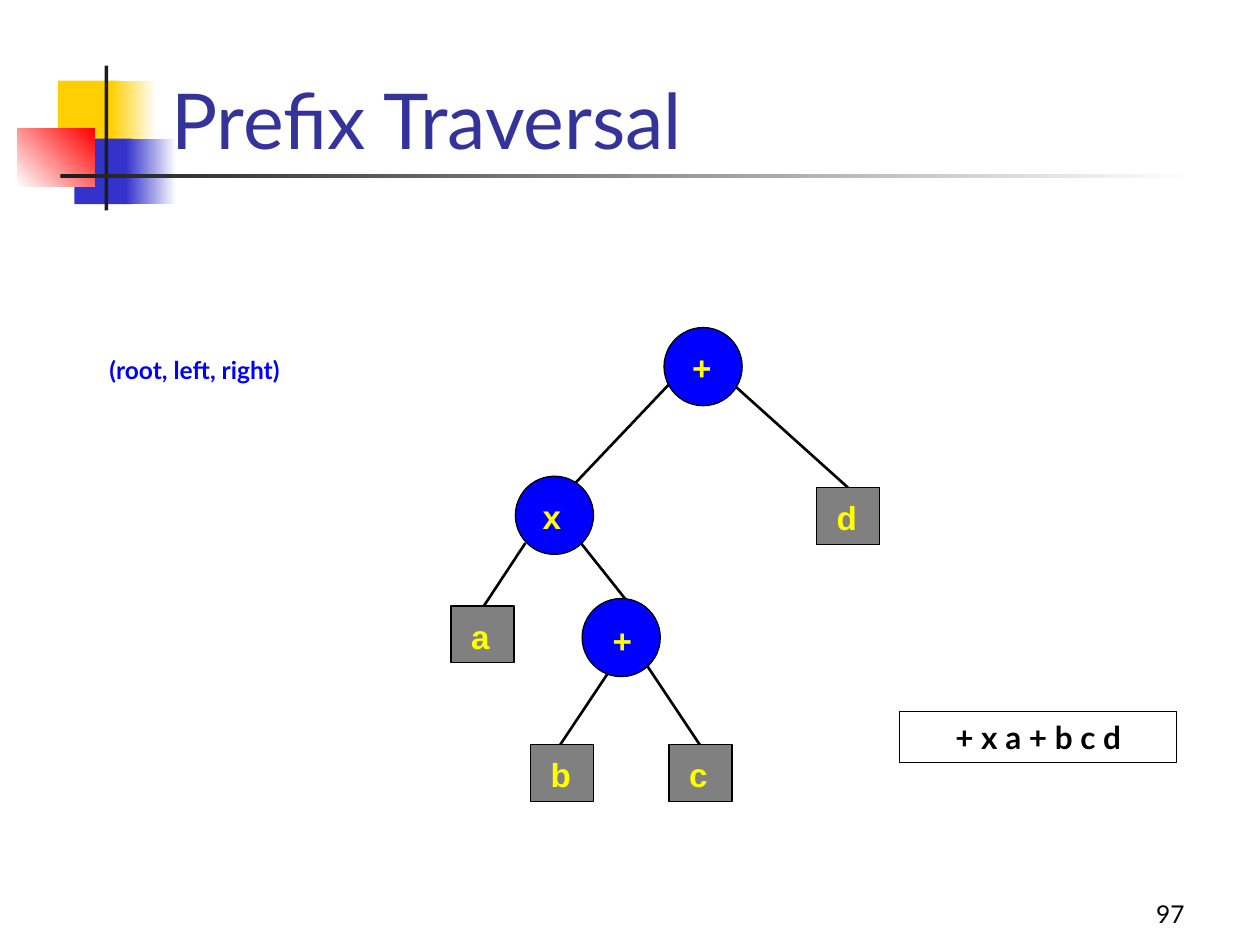
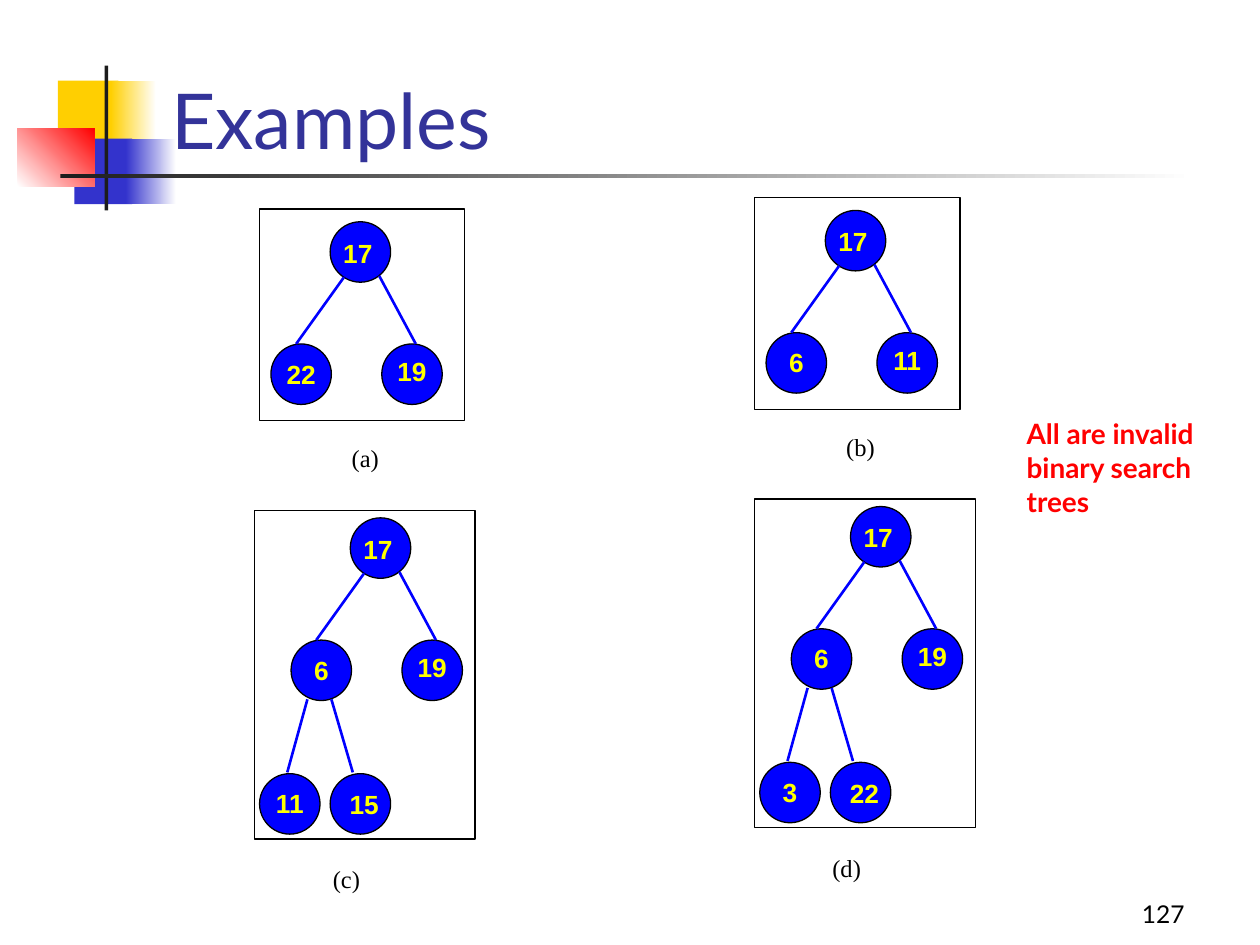
from dataclasses import dataclass
from lxml.etree import SubElement
from pptx import Presentation
from pptx.dml.color import RGBColor
from pptx.enum.shapes import MSO_CONNECTOR, MSO_SHAPE
from pptx.enum.text import MSO_ANCHOR, PP_ALIGN
from pptx.oxml.ns import qn
from pptx.util import Inches, Pt


@dataclass(frozen=True)
class Theme:
    black: str = "000000"
    white: str = "FFFFFF"
    charcoal: str = "1C1C1C"
    gold: str = "FFCF01"
    indigo: str = "3333CC"
    red: str = "FF0000"
    title: str = "333399"
    blue: str = "0000FF"
    gray: str = "808080"
    yellow: str = "FFFF00"
    body_font: str = "Lato"
    node_font: str = "Arial"
    caption_font: str = "Times New Roman"
    title_size: int = 44
    formula_size: int = 18
    remark_size: int = 16
    small_size: int = 14
    large_node: int = 19
    small_node: int = 15
    outline: float = 0.75
    edge: float = 1.5


THEME = Theme()

# Title decoration: left, top, width, height, colours, gradient angle
DECORATION = [
    ((0.46, 0.64, 0.48, 0.52), (THEME.gold,), 0),
    ((0.88, 0.64, 0.36, 0.52), (THEME.gold, THEME.white), 0),
    ((0.59, 1.10, 0.46, 0.52), (THEME.indigo,), 0),
    ((1.00, 1.10, 0.40, 0.52), (THEME.indigo, THEME.white), 0),
    ((0.14, 1.02, 0.61, 0.46), (THEME.white, THEME.red), 45),
    ((0.83, 0.52, 0.03, 1.15), (THEME.charcoal,), 0),
    ((0.48, 1.38, 9.00, 0.03), (THEME.charcoal, THEME.white), 0),
]

# Expression tree: operator circles with label corners, operand squares, edges
OPERATOR_SIZE = 0.62
OPERATORS = [
    ("+", (5.27, 2.60), (5.32, 2.68)),
    ("x", (4.09, 3.78), (4.13, 3.86)),
    ("+", (4.62, 4.75), (4.69, 4.84)),
]
OPERANDS = [("a", 3.58, 4.81), ("d", 6.48, 3.87), ("b", 4.21, 5.91), ("c", 5.31, 5.91)]
EXPRESSION_EDGES = [
    ((5.31, 3.05), (4.57, 3.83)), ((5.84, 3.07), (6.73, 3.87)),
    ((4.17, 4.31), (3.84, 4.81)), ((4.61, 4.31), (4.96, 4.75)),
    ((4.82, 5.35), (4.44, 5.92)), ((5.14, 5.29), (5.56, 5.92)),
]

# Search trees: caption, corner of the root circle, keys level by level
SEARCH_TREES = [
    ("(a)", (2.62, 1.76), ["17", "22", "19"]),
    ("(b)", (6.55, 1.67), ["17", "6", "11"]),
    ("(c)", (2.78, 4.11), ["17", "6", "19", "11", "15"]),
    ("(d)", (6.75, 4.02), ["17", "6", "19", "3", "22"]),
]

# Everything below is measured from the corner of the root circle
KEY_SIZE = 0.48
KEY_SLOTS = [  # circle corner, label corner
    ((0, 0), (0.03, 0.06)),
    ((-0.47, 0.97), (-0.42, 1.02)),
    ((0.41, 0.97), (0.46, 1.00)),
    ((-0.72, 2.03), (-0.67, 2.08)),
    ((-0.16, 2.03), (-0.08, 2.09)),
]
KEY_EDGES = [  # one for each slot after the root
    ((0.11, 0.44), (-0.27, 0.97)), ((0.39, 0.43), (0.68, 0.97)),
    ((-0.34, 1.44), (-0.50, 2.02)), ((-0.15, 1.44), (0.02, 2.02)),
]
TREE_FRAMES = {  # by number of keys: frame, caption box
    3: ((-0.56, -0.10, 1.63, 1.68), (-0.02, 1.71, 0.6, 0.34)),
    5: ((-0.76, -0.06, 1.75, 2.61), (-0.33, 2.70, 0.6, 0.34)),
}


# Drawing helpers
def color(code):
    return RGBColor.from_string(code)


def write(box, text, size, ink, font=THEME.body_font, bold=False, align=PP_ALIGN.LEFT,
          anchor=MSO_ANCHOR.TOP, inset=(0.1, 0.05), wrap=True):
    frame = box.text_frame
    frame.text = text
    frame.word_wrap = wrap
    frame.vertical_anchor = anchor
    frame.margin_left = frame.margin_right = Inches(inset[0])
    frame.margin_top = frame.margin_bottom = Inches(inset[1])
    para = frame.paragraphs[0]
    para.alignment = align
    span = para.runs[0]
    span.font.name = font
    span.font.size = Pt(size)
    span.font.bold = bold
    span.font.color.rgb = color(ink)


def add_text(page, place, text, size, ink, **style):
    box = page.shapes.add_textbox(*map(Inches, place))
    write(box, text, size, ink, **style)


def add_block(page, place, fills=(), angle=0, outlined=True, kind=MSO_SHAPE.RECTANGLE):
    block = page.shapes.add_shape(kind, *map(Inches, place))
    block.shadow.inherit = False
    if len(fills) == 2:
        block.fill.gradient()
        block.fill.gradient_angle = angle
        for stop, code in zip(block.fill.gradient_stops, fills):
            stop.color.rgb = color(code)
    elif fills:
        block.fill.solid()
        block.fill.fore_color.rgb = color(fills[0])
    else:
        block.fill.background()
    if outlined:
        block.line.color.rgb = color(THEME.black)
        block.line.width = Pt(THEME.outline)
    else:
        block.line.fill.background()
    return block


def add_circle(page, corner, size):
    add_block(page, (*corner, size, size), (THEME.blue,),
              kind=MSO_SHAPE.FLOWCHART_CONNECTOR)


def add_edge(page, start, end, ink):
    edge = page.shapes.add_connector(MSO_CONNECTOR.STRAIGHT, *map(Inches, start + end))
    edge.line.color.rgb = color(ink)
    edge.line.width = Pt(THEME.edge)
    SubElement(edge._element.spPr, qn("a:effectLst"))


def shift(origin, place):
    left, top, *size = place
    return (origin[0] + left, origin[1] + top, *size)


def add_page(deck, title, number):
    page = deck.slides.add_slide(deck.slide_layouts[6])
    for place, fills, angle in DECORATION:
        add_block(page, place, fills, angle, outlined=False)
    add_text(page, (7.42, 6.92, 2.08, 0.5), number, THEME.small_size, THEME.black,
             align=PP_ALIGN.RIGHT, anchor=MSO_ANCHOR.BOTTOM)
    add_text(page, (1.26, 0.11, 8.52, 1.25), title, THEME.title_size, THEME.title,
             anchor=MSO_ANCHOR.BOTTOM)
    return page


# Slides
def build_prefix_page(deck):
    page = add_page(deck, "Prefix Traversal", "97")
    node_style = dict(size=THEME.large_node, ink=THEME.yellow, font=THEME.node_font,
                      bold=True, inset=(0.16, 0.08))
    for _, corner, _ in OPERATORS:
        add_circle(page, corner, OPERATOR_SIZE)
    for start, end in EXPRESSION_EDGES:
        add_edge(page, start, end, THEME.black)
    for sign, _, label in OPERATORS:
        add_text(page, (*label, 0.5, 0.45), sign, align=PP_ALIGN.CENTER, **node_style)
    for letter, left, top in OPERANDS:
        square = add_block(page, (left, top, 0.5, 0.45), (THEME.gray,))
        write(square, letter, **node_style)
    result = add_block(page, (7.14, 5.65, 2.2, 0.4))
    write(result, "+ x a + b c d", THEME.formula_size, THEME.black, bold=True,
          align=PP_ALIGN.CENTER)
    add_text(page, (0.77, 2.77, 1.78, 0.34), "(root, left, right)", THEME.small_size,
             THEME.blue, bold=True, wrap=False)


def add_search_tree(page, caption, root, keys):
    frame, caption_place = TREE_FRAMES[len(keys)]
    slots = KEY_SLOTS[:len(keys)]
    add_block(page, shift(root, frame), (THEME.white,))
    for corner, _ in slots:
        add_circle(page, shift(root, corner), KEY_SIZE)
    for start, end in KEY_EDGES[:len(keys) - 1]:
        add_edge(page, shift(root, start), shift(root, end), THEME.blue)
    for key, (_, label) in zip(keys, slots):
        add_text(page, (*shift(root, label), 0.38, 0.35), key, THEME.small_node,
                 THEME.yellow, font=THEME.node_font, bold=True,
                 align=PP_ALIGN.CENTER, inset=(0, 0.06))
    add_text(page, shift(root, caption_place), caption, THEME.small_size, THEME.black,
             font=THEME.caption_font, align=PP_ALIGN.CENTER, wrap=False)


def build_examples_page(deck):
    page = add_page(deck, "Examples", "127")
    for caption, root, keys in SEARCH_TREES:
        add_search_tree(page, caption, root, keys)
    add_text(page, (8.05, 3.26, 1.67, 1.17), "All are invalid binary search trees",
             THEME.remark_size, THEME.red, bold=True)


def main():
    deck = Presentation()
    deck.slide_width, deck.slide_height = Inches(10), Inches(7.5)
    build_prefix_page(deck)
    build_examples_page(deck)
    deck.save("out.pptx")


if __name__ == "__main__":
    main()
